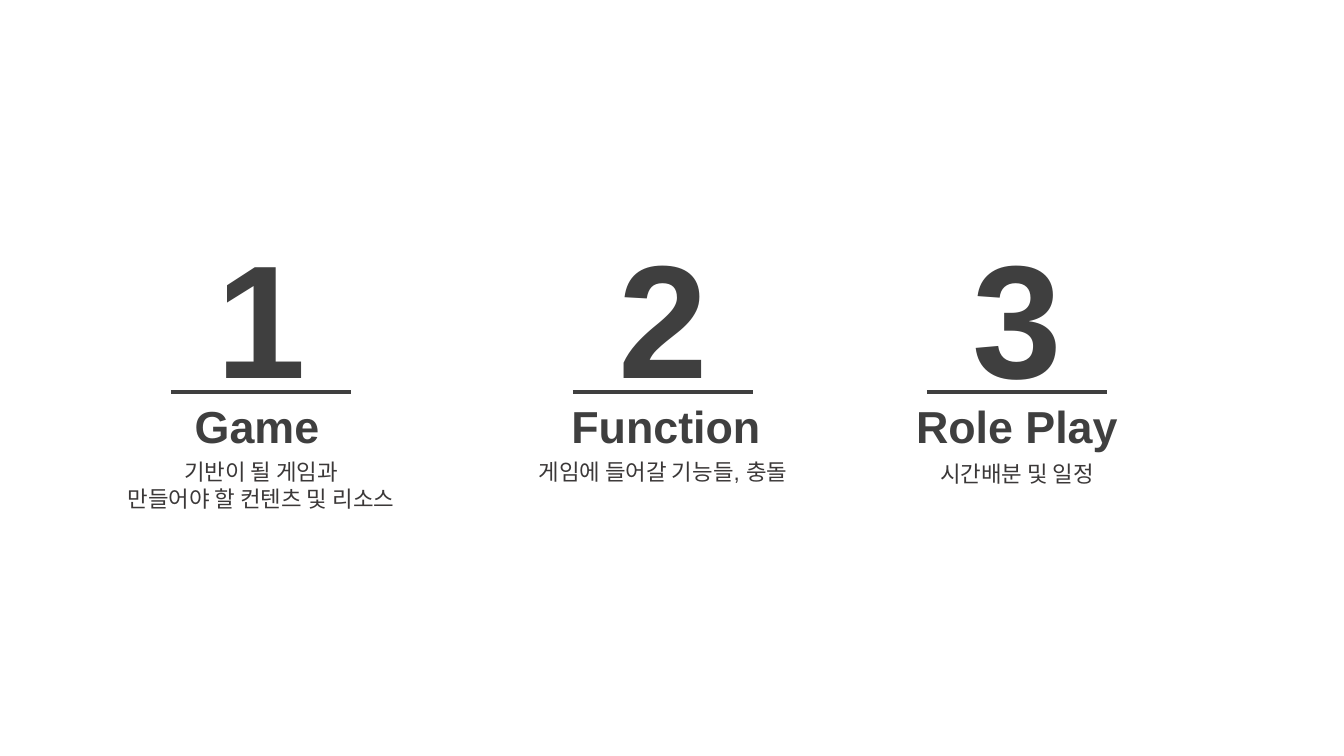
from pptx import Presentation
from pptx.dml.color import RGBColor
from pptx.enum.shapes import MSO_CONNECTOR
from pptx.enum.text import MSO_AUTO_SIZE, PP_ALIGN
from pptx.oxml.ns import qn
from pptx.util import Pt
from lxml.etree import SubElement

SCALE = 914400 / 100.8
COLORS = {"dark": "3F3F3F", "body": "3B3838"}


def px(n):
    return round(n * SCALE)


def add_text(group, mid, top, width, height, lines, size, color, bold=False):
    """Add an unwrapped text box centred on mid, one paragraph per line."""
    box = group.shapes.add_textbox(px(mid - width / 2), px(top), px(width), px(height))
    frame = box.text_frame
    frame.word_wrap = False
    frame.auto_size = MSO_AUTO_SIZE.SHAPE_TO_FIT_TEXT
    frame.text = "\n".join(lines)
    for para in frame.paragraphs:
        para.alignment = PP_ALIGN.CENTER
        para.font.name = "Arial"
        para.font.size = Pt(size)
        para.font.bold = bold
        para.font.color.rgb = RGBColor.from_string(COLORS[color])


# column middle, heading, its middle and width, body lines, their top, width and height
TOPICS = [
    (261, "Game", 257, 146, ["기반이 될 게임과", "만들어야 할 컨텐츠 및 리소스"], 453, 318, 65),
    (663, "Function", 666, 211, ["게임에 들어갈 기능들, 충돌"], 453, 294, 37),
    (1017, "Role Play", 1017, 224, ["시간배분 및 일정"], 455, 192, 37),
]
RULE_Y, RULE_W = 392, 180

prs = Presentation()
prs.slide_width, prs.slide_height = px(1344), px(756)
slide = prs.slides.add_slide(prs.slide_layouts[6])

for num, (mid, head, head_mid, head_w, body, top, width, height) in enumerate(TOPICS, 1):
    group = slide.shapes.add_group_shape()
    add_text(group, mid, 213, 111, 206, [str(num)], 115, "dark", bold=True)

    rule = group.shapes.add_connector(
        MSO_CONNECTOR.STRAIGHT,
        px(mid - RULE_W / 2), px(RULE_Y), px(mid + RULE_W / 2), px(RULE_Y))
    rule.line.color.rgb = RGBColor.from_string(COLORS["dark"])
    rule.line.width = Pt(2.25)
    SubElement(rule._element.spPr, qn("a:effectLst"))

    add_text(group, head_mid, 394, head_w, 65, [head], 32, "dark", bold=True)
    add_text(group, mid, top, width, height, body, 16, "body")

prs.save("out.pptx")
